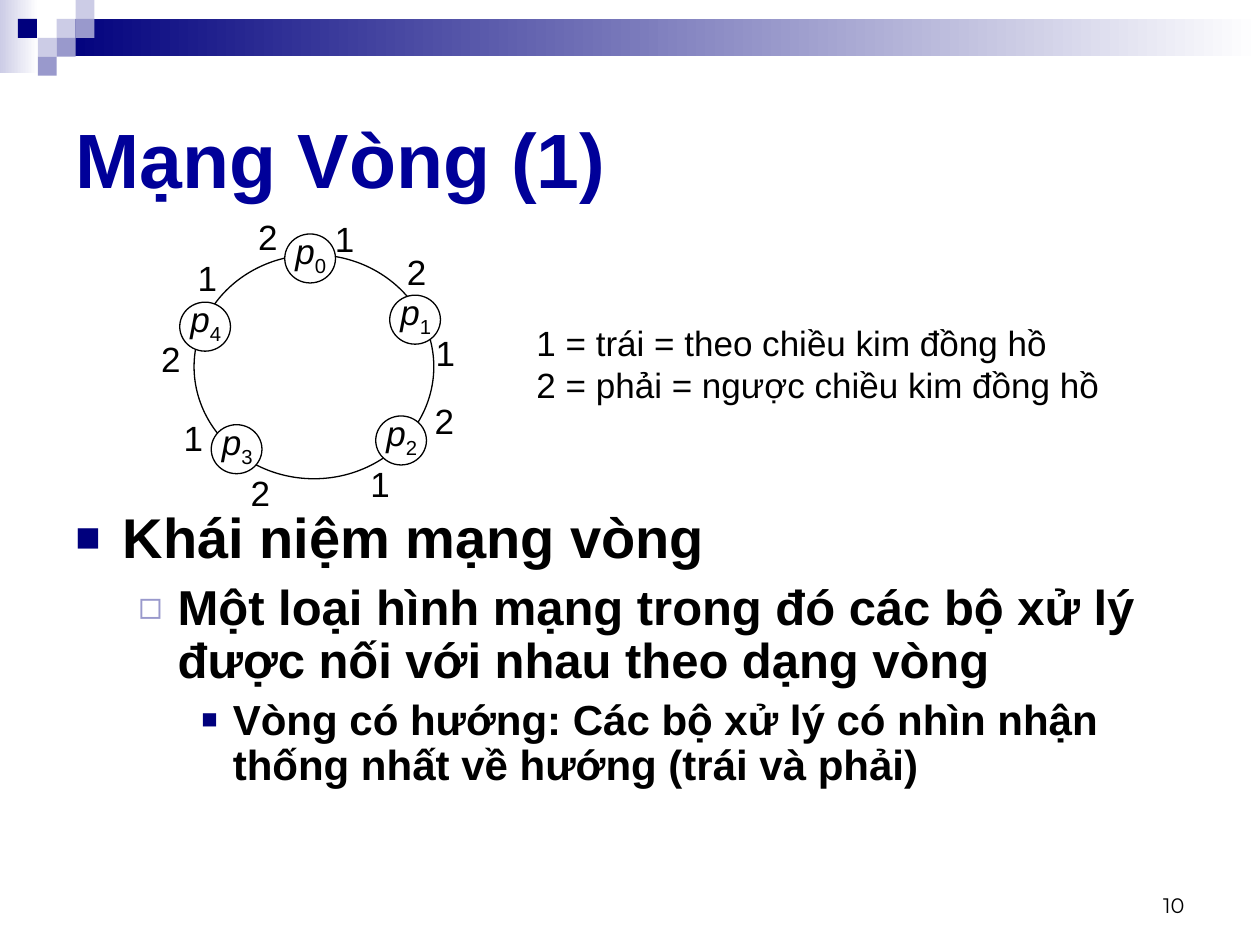
from lxml.etree import SubElement
from pptx import Presentation
from pptx.dml.color import RGBColor as RGB
from pptx.enum.shapes import MSO_SHAPE as SHAPE
from pptx.enum.text import MSO_ANCHOR as ANCHOR, PP_ALIGN as ALIGN
from pptx.oxml.ns import qn
from pptx.util import Pt

COLORS = {"navy": "00007D", "title": "000099", "lilac": "9999CC",
          "pale": "CCCCE6", "white": "FFFFFF", "black": "000000"}


def rgb(name):
    """Return the named palette colour."""
    return RGB.from_string(COLORS[name])


class SlideBuilder:
    """Draws styled elements on the current slide, in points."""

    font = "Arial"
    size = 20

    def __init__(self, slide):
        """Keep the slide to draw on."""
        self.slide = slide

    def run(self, p, text, size=None, color="black", bold=False,
            italic=False, font=None, baseline=None):
        """Add one formatted run to a paragraph."""
        r = p.add_run()
        r.text = text
        f = r.font
        f.name, f.size = font or self.font, Pt(size or self.size)
        f.bold, f.italic, f.color.rgb = bold, italic, rgb(color)
        if baseline:
            r._r.get_or_add_rPr().set("baseline", str(baseline))

    def title(self, text, box):
        """Place and fill the title placeholder."""
        sp = self.slide.shapes.title
        sp.left, sp.top, sp.width, sp.height = map(Pt, box)
        tf = sp.text_frame
        tf.vertical_anchor = ANCHOR.MIDDLE
        p = tf.paragraphs[0]
        p.alignment = ALIGN.LEFT
        self.run(p, text, 44, "title", bold=True)

    def shape(self, kind, box, fill=None, fade=False, line=None, group=None):
        """Add a preset shape with a plain, fading or empty fill."""
        sp = (group or self.slide).shapes.add_shape(kind, *map(Pt, box))
        sp.shadow.inherit = False
        if fade:
            sp.fill.gradient()
            sp.fill.gradient_angle = 0
            for stop, color in zip(sp.fill.gradient_stops, (fill, "white")):
                stop.color.rgb = rgb(color)
        elif fill:
            sp.fill.solid()
            sp.fill.fore_color.rgb = rgb(fill)
        else:
            sp.fill.background()
        if line:
            sp.line.color.rgb = rgb(line)
            sp.line.width = Pt(0.75)
        else:
            sp.line.fill.background()

    def text(self, box, lines, align=ALIGN.LEFT, wrap=False,
             anchor=ANCHOR.TOP, group=None):
        """Add a text box; each line is a list of (text, style) runs."""
        tf = (group or self.slide).shapes.add_textbox(*map(Pt, box)).text_frame
        tf.word_wrap, tf.vertical_anchor = wrap, anchor
        for i, runs in enumerate(lines):
            p = tf.add_paragraph() if i else tf.paragraphs[0]
            p.alignment = align
            for text, style in runs:
                self.run(p, text, **style)
        return tf

    def node(self, index, x, y):
        """Add a grouped processor circle with its subscripted name."""
        group = self.slide.shapes.add_group_shape()
        self.shape(SHAPE.OVAL, (x, y, 29, 28), "white", line="black", group=group)
        name = [("p", {"italic": True}), (str(index), {"baseline": -25000})]
        tf = self.text((x - 1, y - 6, 31.7, 34.6), [name], ALIGN.CENTER,
                       group=group)
        tf.margin_left = tf.margin_right = 0

    def bullets(self, box, items):
        """Add a bulleted outline, one level deeper per item."""
        lines = [[(text, {"size": size, "bold": True})]
                 for text, size, *_ in items]
        tf = self.text(box, lines, wrap=True)
        for level, (p, item) in enumerate(zip(tf.paragraphs, items)):
            _, _, before, margin, hang, char, color, percent = item
            p.level, p.line_spacing, p.space_before = level, 0.9, Pt(before)
            pPr = p._p.get_or_add_pPr()
            pPr.set("marL", str(Pt(margin)))
            pPr.set("indent", str(-Pt(hang)))
            clr = SubElement(pPr, qn("a:buClr"))
            SubElement(clr, qn("a:srgbClr"), val=COLORS[color])
            SubElement(pPr, qn("a:buSzPct"), val=str(percent * 1000))
            SubElement(pPr, qn("a:buFont"), typeface=self.font)
            SubElement(pPr, qn("a:buChar"), char=char)


def main():
    """Build and save the ring network slide."""
    prs = Presentation()
    prs.slide_width, prs.slide_height = Pt(720), Pt(540)
    s = SlideBuilder(prs.slides.add_slide(prs.slide_layouts[5]))

    tile = 10.8
    s.shape(SHAPE.RECTANGLE, (0, 0, 22, 41.8), "pale", fade=True)
    s.shape(SHAPE.RECTANGLE, (3 * tile, tile, 687.6, 21.4), "navy", fade=True)
    for col, row, color in [(3, 1, "pale"), (4, 0, "pale"), (4, 1, "lilac"),
                            (2, 2, "pale"), (0.95, 1, "navy"),
                            (3, 2, "lilac"), (2, 3, "lilac")]:
        s.shape(SHAPE.RECTANGLE, (col * tile, row * tile, tile, tile), color)

    s.text((516, 492, 168, 36), [[("10", {"size": 12, "font": "Montserrat"})]],
           ALIGN.RIGHT, wrap=True, anchor=ANCHOR.BOTTOM)
    s.title("Mạng Vòng (1)", (36, 36, 648, 108))
    s.bullets((36, 288, 648, 174), [
        ("Khái niệm mạng vòng", 32, 8, 27, 27, "■", "navy", 75),
        ("Một loại hình mạng trong đó các bộ xử lý được nối với nhau "
         "theo dạng vòng", 28, 7, 58.5, 22.5, "◻", "lilac", 80),
        ("Vòng có hướng: Các bộ xử lý có nhìn nhận thống nhất về hướng "
         "(trái và phải)", 24, 6, 90, 18, "■", "navy", 65)])

    s.shape(SHAPE.OVAL, (110.9, 145.6, 137, 128), line="black")
    nodes = [(162.7, 133.7), (222.7, 168.7), (214.7, 237.7),
             (120.7, 242.7), (102.7, 172.7)]
    for index, (x, y) in enumerate(nodes):
        s.node(index, x, y)

    ports = {"1": [(184.3, 121), (241.9, 185.8), (204.5, 260.6),
                   (97.9, 234.7), (105.8, 143.3)],
             "2": [(140.4, 119.5), (225.4, 139.7), (241.2, 224.6),
                   (136.1, 265.7), (85, 189.4)]}
    for port, places in ports.items():
        for x, y in places:
            s.text((x, y, 25.2, 31.7), [[(port, {})]], ALIGN.CENTER)

    s.text((299.5, 180, 336.2, 55.4),
           [[("1 = trái = theo chiều kim đồng hồ", {})],
            [("2 = phải = ngược chiều kim đồng hồ", {})]])
    prs.save("out.pptx")


if __name__ == "__main__":
    main()
